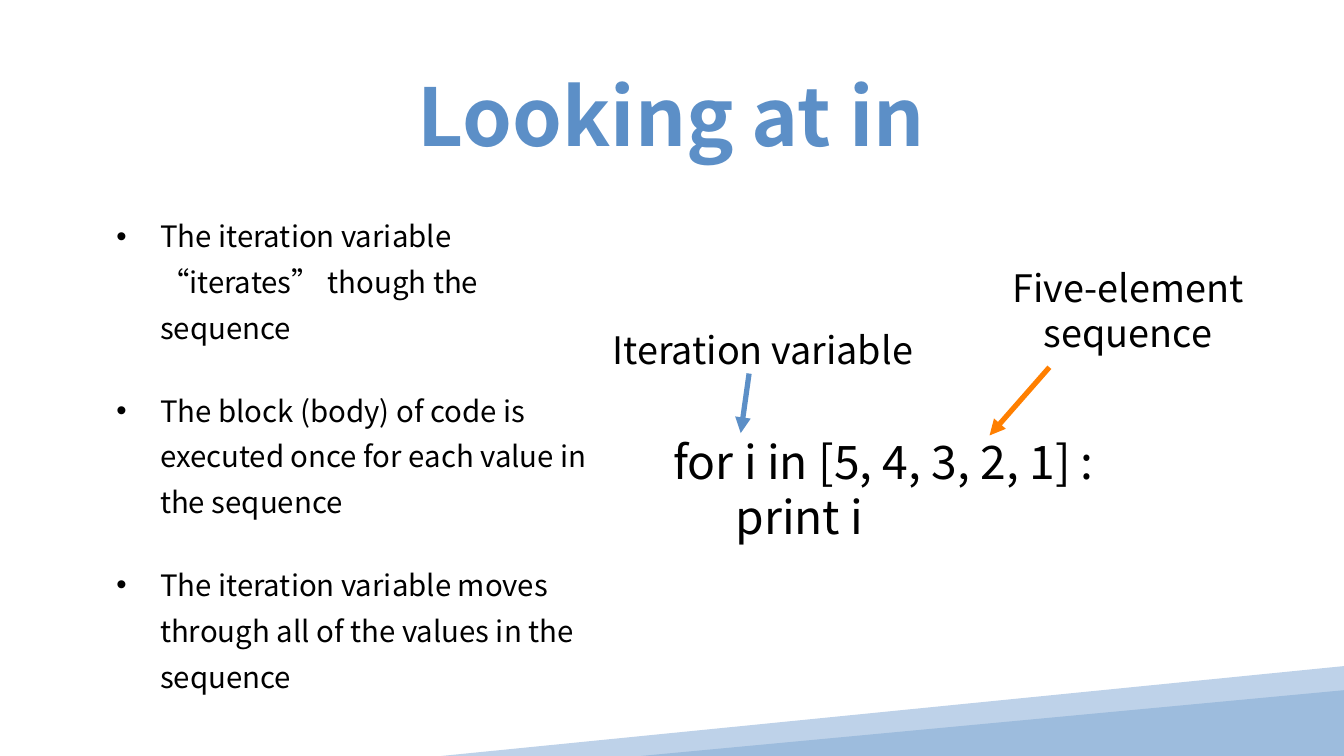
from lxml.etree import SubElement as Sub
from pptx import Presentation
from pptx.dml.color import RGBColor
from pptx.enum.shapes import MSO_CONNECTOR as Link, MSO_SHAPE as Form
from pptx.enum.text import MSO_ANCHOR as Anchor, MSO_AUTO_SIZE as Fit, PP_ALIGN as Align
from pptx.oxml.ns import qn
from pptx.util import Cm, Pt

FONT = "Noto Sans CJK SC"
WIDTH, HEIGHT = 45.16, 25.4
POINTS = [
    "The iteration variable “iterates” though the sequence",
    "The block (body) of code is executed once for each value in the sequence",
    "The iteration variable moves through all of the values in the sequence",
]


def color(text):
    return RGBColor.from_string(text)


def paint(shape, fill):
    shape.shadow.inherit = False
    shape.fill.solid()
    shape.fill.fore_color.rgb = color(fill)
    shape.line.fill.background()


def write(slide, box, lines, size, align=Align.LEFT, tint="000000",
          bold=False, wrap=True, inset=0):
    frame = slide.shapes.add_textbox(*map(Cm, box)).text_frame
    frame.text = "\n".join(lines)
    frame.word_wrap = wrap
    frame.auto_size = Fit.NONE if wrap else Fit.SHAPE_TO_FIT_TEXT
    frame.vertical_anchor = Anchor.MIDDLE
    frame.margin_left = frame.margin_right = Cm(inset)
    frame.margin_top = frame.margin_bottom = Cm(inset)
    for par in frame.paragraphs:
        par.alignment = align
        for run in par.runs:
            font = run.font
            font.name, font.size, font.bold = FONT, Pt(size), bold
            font.color.rgb = color(tint)
    return frame


def arrow(slide, start, end, tint):
    line = slide.shapes.add_connector(Link.STRAIGHT, *map(Cm, start + end))
    line.line.width = Pt(5)
    line.line.color.rgb = color(tint)
    Sub(line.line._get_or_add_ln(), qn("a:tailEnd"), type="triangle")
    Sub(line._element.spPr, qn("a:effectLst"))


def footer(slide, box):
    left, top, width, height = box
    group = slide.shapes.add_group_shape().shapes
    edge = [(left + width * x, top + height * y)
            for x, y in [(1, 0), (1, 0.93), (0.51, 1), (0, 1)]]
    spots = [(Cm(x), Cm(y)) for x, y in edge]
    pen = group.build_freeform(*spots[0])
    pen.add_line_segments(spots[1:], close=True)
    paint(pen.convert_to_shape(), "BED2E9")
    wedge = group.add_shape(Form.ISOSCELES_TRIANGLE, Cm(left + 6.71),
                            Cm(top + 0.81), Cm(width - 6.71), Cm(height - 0.81))
    wedge.adjustments[0] = 1
    paint(wedge, "9DBCDD")


def title(slide, box):
    write(slide, box, ["Looking at in"], 76, Align.CENTER, "5C8FC7", True, inset=0.1)


def bullets(slide, box):
    frame = write(slide, box, POINTS, 28, inset=0.1)
    for num, par in enumerate(frame.paragraphs):
        par.line_spacing = 1.3
        par.space_before = Pt(35 if num else 0)
        props = par._p.get_or_add_pPr()
        props.set("marL", str(Cm(2.08)))
        props.set("indent", str(Cm(-1.47)))
        tone = Sub(props, qn("a:buClr"))
        Sub(tone, qn("a:srgbClr"), val="000000")
        Sub(props, qn("a:buFont"), typeface="Arial")
        Sub(props, qn("a:buChar"), char="•")


def diagram(slide, box):
    left, top, width, height = box

    def at(x, y):
        return left + x, top + y

    write(slide, at(2.13, 5) + (14.66, height - 5),
          ["for i in [5, 4, 3, 2, 1] :", "      print i"], 44, wrap=False)
    write(slide, at(0, 1.42) + (10.26, 1.52), ["Iteration variable"], 36,
          Align.CENTER, wrap=False)
    write(slide, at(10.89, 0) + (width - 10.89, 1.73),
          ["Five-element sequence"], 36, Align.CENTER)
    arrow(slide, at(4.67, 3), at(4.39, 5), "5C8FC7")
    arrow(slide, at(14.76, 2.79), at(12.75, 5.08), "FF7F00")


def main():
    deck = Presentation()
    deck.slide_width, deck.slide_height = Cm(WIDTH), Cm(HEIGHT)
    slide = deck.slides.add_slide(deck.slide_layouts[6])
    footer(slide, (14.83, 22.38, WIDTH - 14.83, HEIGHT - 22.38))
    title(slide, (3.2, 0.66, 38.71, 6.38))
    bullets(slide, (3.2, 6.96, 16.61, 16.38))
    diagram(slide, (20.5, 9.55, 23.92, 8.73))
    deck.save("out.pptx")


if __name__ == "__main__":
    main()
